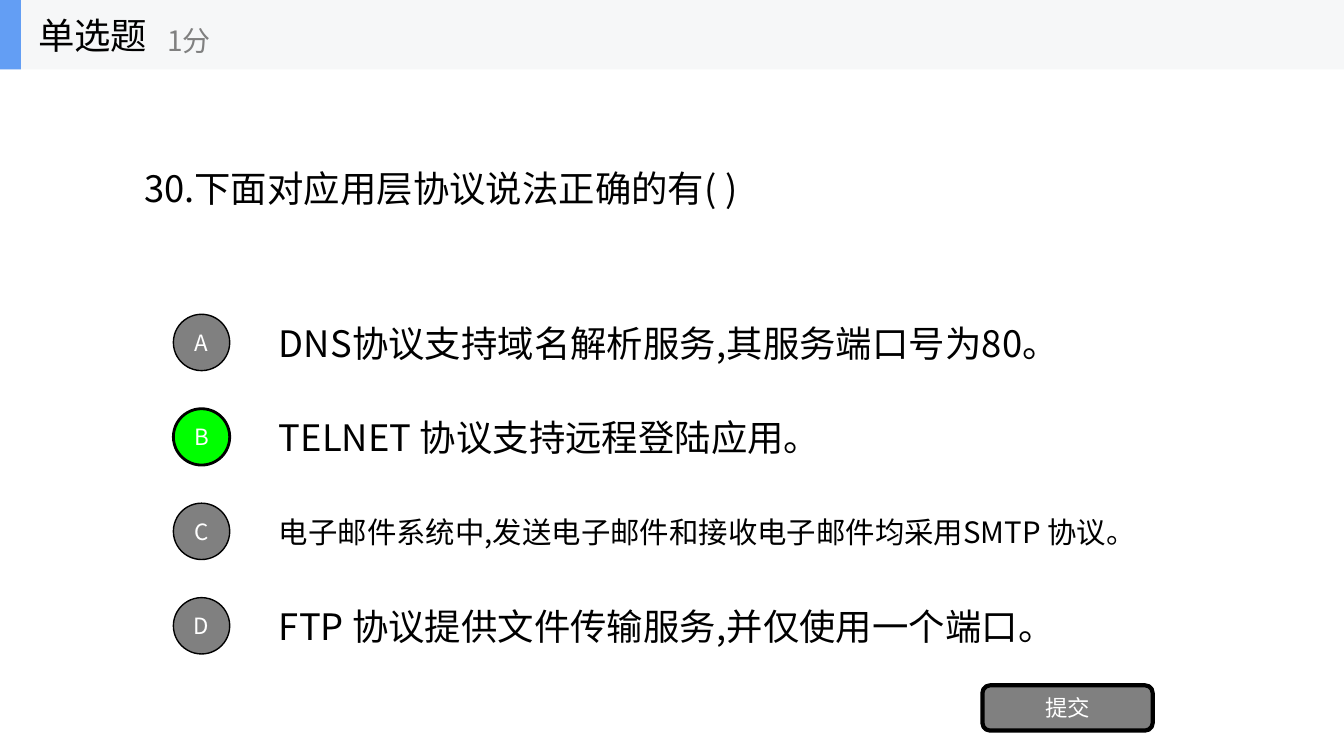
from dataclasses import dataclass

from lxml.etree import SubElement
from pptx import Presentation
from pptx.dml.color import RGBColor as Rgb
from pptx.enum.shapes import MSO_SHAPE as Form
from pptx.enum.text import MSO_ANCHOR as Anchor, PP_ALIGN as Align
from pptx.oxml.ns import qn
from pptx.util import Cm, Pt


@dataclass(frozen=True)
class Theme:
    face: str = "Noto Sans CJK SC"
    ink: str = "000000"
    pale: str = "FFFFFF"
    gray: str = "808080"
    right: str = "00FF00"
    band: str = "F6F7F8"
    mark: str = "639EF4"
    big: int = 26
    mid: int = 21
    score: int = 20
    small: int = 16
    lead: float = 1.2


THEME = Theme()
CHOICES = [
    ("A", "DNS协议支持域名解析服务,其服务端口号为80。", 20.29, THEME.big, False),
    ("B", "TELNET 协议支持远程登陆应用。", 14.15, THEME.big, True),
    ("C", "电子邮件系统中,发送电子邮件和接收电子邮件均采用SMTP 协议。", 21.82, THEME.mid, False),
    ("D", "FTP 协议提供文件传输服务,并仅使用一个端口。", 20.02, THEME.big, False),
]


def apply(item, values):
    for name, value in values.items():
        setattr(item, name, value)


def write(shape, text, size, color, align=Align.LEFT):
    frame = shape.text_frame
    apply(frame, {"word_wrap": True, "vertical_anchor": Anchor.MIDDLE})
    para = frame.paragraphs[0]
    apply(para, {"alignment": align, "line_spacing": Pt(size * THEME.lead)})
    run = para.add_run()
    run.text = text
    apply(run.font, {"name": THEME.face, "size": Pt(size)})
    run.font.color.rgb = Rgb.from_string(color)
    SubElement(run.font._element, qn("a:ea"), typeface=THEME.face)


def label(slide, box, text, size, color=THEME.ink):
    write(slide.shapes.add_textbox(*map(Cm, box)), text, size, color)


def block(slide, form, box, fill, width=0):
    shape = slide.shapes.add_shape(form, *map(Cm, box))
    shape.shadow.inherit = False
    shape.fill.solid()
    shape.fill.fore_color.rgb = Rgb.from_string(fill)
    if width:
        shape.line.color.rgb = Rgb.from_string(THEME.ink)
        shape.line.width = Pt(width)
    else:
        shape.line.fill.background()
    return shape


def button(slide, form, box, text, fill, width):
    shape = block(slide, form, box, fill, width)
    write(shape, text, THEME.small, THEME.pale, Align.CENTER)


def header(slide, box):
    left, top, width, height = box
    block(slide, Form.RECTANGLE, box, THEME.band)
    block(slide, Form.RECTANGLE, (left, top, 0.53, height), THEME.mark)
    label(slide, (left + 0.71, top, 5.28, height), "单选题", THEME.big)
    label(slide, (left + 3.96, top + 0.3, 6.35, 1.42), "1分", THEME.score, THEME.gray)


def choices(slide, box):
    left, top, width, height = box
    side = 1.42
    pitch = (height - side) / (len(CHOICES) - 1)
    for row, (key, text, span, size, right) in enumerate(CHOICES):
        y = top + row * pitch
        label(slide, (left + 2.41, y, span, side), text, size)
        fill, line = (THEME.right, 2) if right else (THEME.gray, 1)
        button(slide, Form.OVAL, (left, y, side, side), key, fill, line)


def main():
    deck = Presentation()
    apply(deck, {"slide_width": Cm(33.87), "slide_height": Cm(19.05)})
    slide = deck.slides.add_slide(deck.slide_layouts[6])
    label(slide, (3.38, 4.06, 15.52, 1.35), "30.下面对应用层协议说法正确的有( )", THEME.big)
    choices(slide, (4.37, 7.92, 24.23, 8.56))
    button(slide, Form.ROUNDED_RECTANGLE, (24.76, 17.27, 4.29, 1.14), "提交", THEME.gray, 3)
    header(slide, (0, 0, 33.87, 1.75))
    deck.save("out.pptx")


if __name__ == "__main__":
    main()
